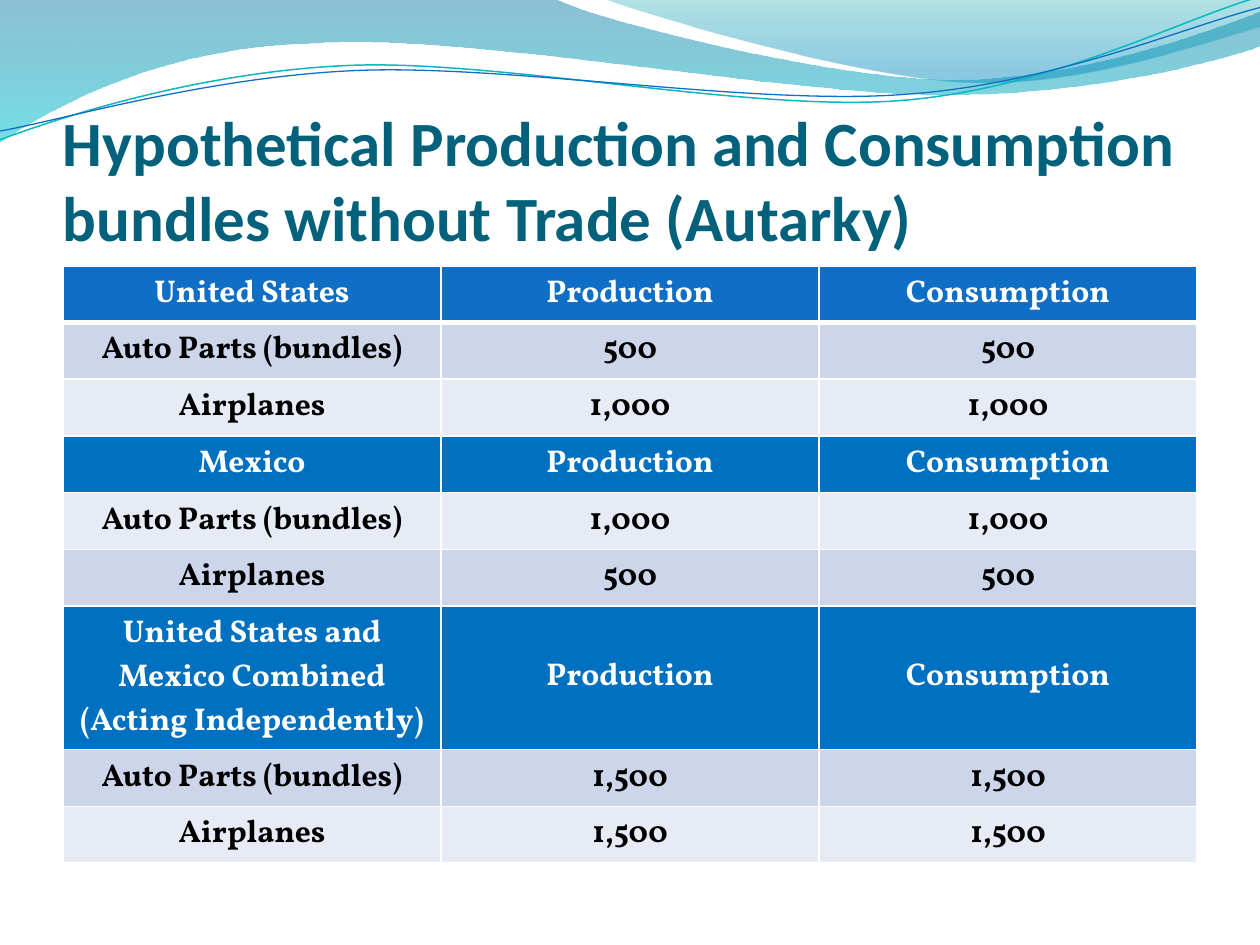
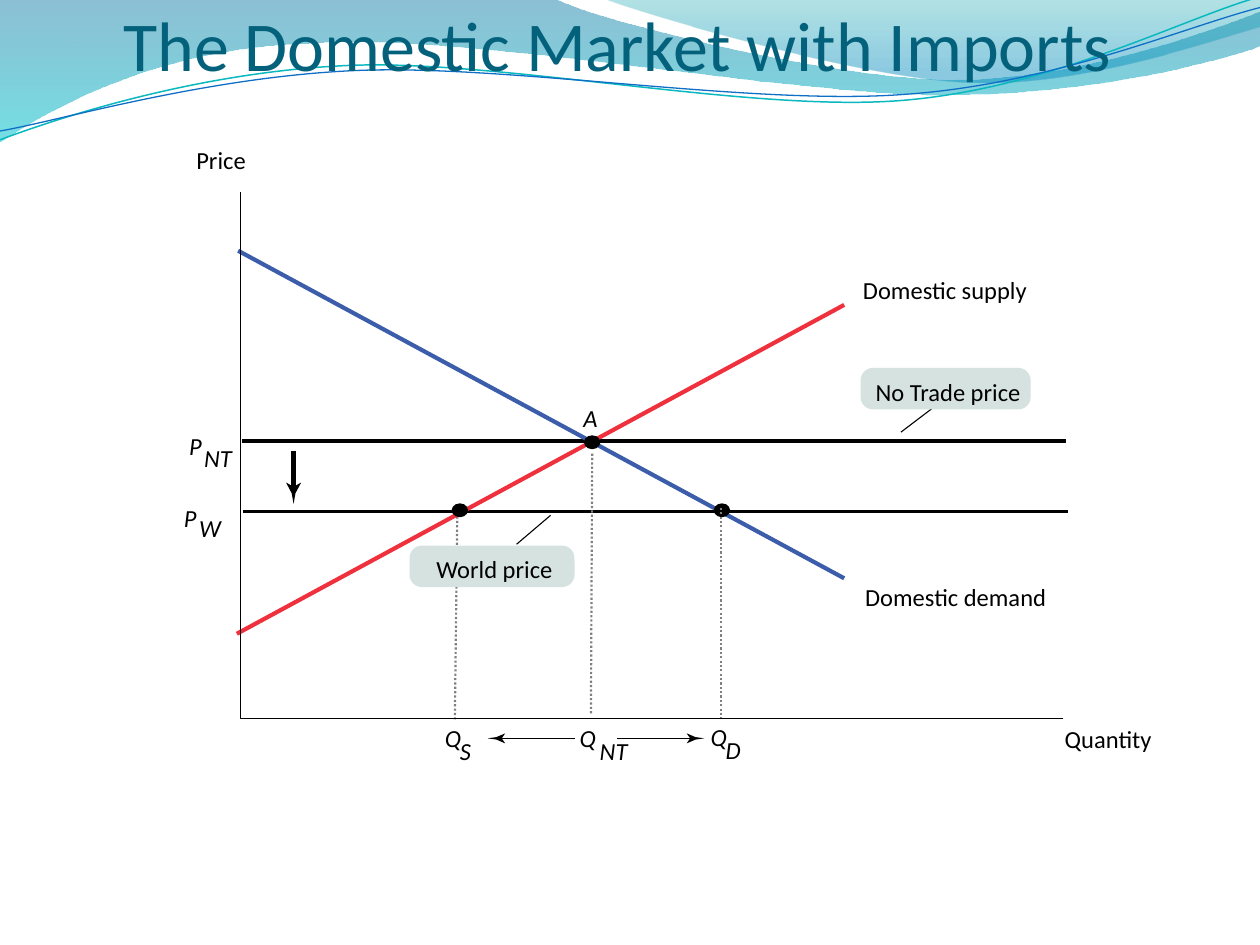
import dataclasses

import lxml.etree
import pptx
import pptx.dml.color
import pptx.enum.dml
import pptx.enum.shapes
import pptx.enum.text
import pptx.oxml.ns
import pptx.util

Inches = pptx.util.Inches
Pt = pptx.util.Pt
qn = pptx.oxml.ns.qn
SHAPE = pptx.enum.shapes.MSO_SHAPE
ALIGN = pptx.enum.text.PP_ALIGN
ANCHOR = pptx.enum.text.MSO_ANCHOR
ROUND_DOT = pptx.enum.dml.MSO_LINE.ROUND_DOT


@dataclasses.dataclass(frozen=True)
class Theme:
    """Colours, fonts and type sizes shared by the slides."""
    title: str = "04617B"
    ink: str = "000000"
    white: str = "FFFFFF"
    header: str = "0F6FC6"
    subheader: str = "0070C0"
    bands: tuple = ("E7EBF5", "CCD5EA")
    demand: str = "3C5DAA"
    supply: str = "EE313C"
    guide: str = "808080"
    callout: str = "D6E2E0"
    teal: str = "0AB8BF"
    font: str = "Calibri"
    table_font: str = "Vollkorn"
    label_size: float = 14
    table_size: float = 18


THEME = Theme()

WAVES = [
    ([(0, 0), (4.4, -0.01), (4.76, 0.17, 6.64, 0.63, 7.58, 0.63),
      (8.53, 0.63, 9.58, 0.26, 10, 0.09), (10.01, 0.36),
      (9.83, 0.44, 8.7, 0.76, 7.46, 0.75), (6.22, 0.75, 3.82, 0.28, 2.57, 0.34),
      (1.29, 0.36, 0.46, 0.83, -0.01, 1.13)],
     [(0, "0074A1", 45), (1, "00C6CF", 55)]),
    ([(4.79, -0.01), (5.09, 0.11, 6.82, 0.62, 7.69, 0.65),
      (8.56, 0.69, 9.61, 0.32, 10, 0.21), (10, 0)],
     [(0, "00A1A9", 30), (0.8, "008BBF", 45)]),
]
RIPPLES = [
    ([(0, 1.11), (0.48, 0.93, 1.58, 0.57, 2.77, 0.52), (3.95, 0.47, 5.93, 0.89, 7.13, 0.8),
      (8.33, 0.71, 9.38, 0.15, 9.98, -0.02)],
     THEME.teal, 0.85),
    ([(0, 1.04), (0.47, 0.96, 1.64, 0.61, 2.83, 0.56), (4.03, 0.51, 5.97, 0.84, 7.17, 0.75),
      (8.36, 0.67, 9.41, 0.21, 10, 0.06)],
     THEME.header, 0.75),
]

HEADINGS = ("Production", "Consumption")
COUNTRIES = [
    ("United States", "500", "1,000"),
    ("Mexico", "1,000", "500"),
    ("United States and Mexico Combined\n(Acting Independently)", "1,500", "1,500"),
]


def rgb(colour):
    """Turn a hex string into a colour."""
    return pptx.dml.color.RGBColor.from_string(colour)


def style_line(line, colour, width):
    """Set a line's colour and width."""
    line.color.rgb = rgb(colour)
    line.width = Pt(width)


def style_fill(sp, colour):
    """Give a shape a plain fill with no outline or shadow."""
    sp.shadow.inherit = False
    sp.fill.solid()
    sp.fill.fore_color.rgb = rgb(colour)
    sp.line.fill.background()


def add_outline(slide, steps, close):
    """Draw a freeform whose steps are points or cubic curves in inches."""
    points = [(Inches(step[i]), Inches(step[i + 1]))
              for step in steps for i in range(0, len(step), 2)]
    builder = slide.shapes.build_freeform(*points[0])
    builder.add_line_segments(points[1:], close=close)
    sp = builder.convert_to_shape()
    sp.shadow.inherit = False
    segments = iter(list(sp._element.iter(qn("a:lnTo"))))
    for step in steps[1:]:
        curve = next(segments)
        if len(step) == 6:
            curve.tag = qn("a:cubicBezTo")
            for _ in range(2):
                extra = next(segments)
                curve.append(extra[0])
                extra.getparent().remove(extra)
    return sp


def add_stroke(slide, steps, colour, width):
    """Draw an open, unfilled outline."""
    sp = add_outline(slide, steps, False)
    sp.fill.background()
    style_line(sp.line, colour, width)


def add_wave(slide, steps, stops):
    """Draw a closed outline with a translucent vertical gradient."""
    sp = add_outline(slide, steps, True)
    sp.line.fill.background()
    sp.fill.gradient()
    sp.fill.gradient_angle = 270
    for stop, (position, colour, _) in zip(sp.fill.gradient_stops, stops):
        stop.position = position
        stop.color.rgb = rgb(colour)
    for colour_el, (_, _, opacity) in zip(sp._element.iter(qn("a:srgbClr")), stops):
        lxml.etree.SubElement(colour_el, qn("a:alpha"), val=str(opacity * 1000))


def add_line(slide, start, end, colour=THEME.ink, width=0.63, dash=None):
    """Draw a straight connector between two points."""
    sp = slide.shapes.add_connector(pptx.enum.shapes.MSO_CONNECTOR.STRAIGHT,
                                    *[Inches(v) for v in (*start, *end)])
    lxml.etree.SubElement(sp._element.spPr, qn("a:effectLst"))
    style_line(sp.line, colour, width)
    if dash:
        sp.line.dash_style = dash


def add_arrow(slide, start, tip, direction, width, length, half):
    """Draw a line ending in a barbed arrowhead."""
    (x, y), (dx, dy) = tip, direction
    add_line(slide, start, (x - dx * length * 0.7, y - dy * length * 0.7), width=width)
    profile = [(0, 0), (0.5, 0.25), (1, 1), (0.8, 0), (1, -1), (0.5, -0.25)]
    points = [(x - dx * back * length - dy * side * half, y - dy * back * length + dx * side * half)
              for back, side in profile]
    style_fill(add_outline(slide, points, True), THEME.ink)


def write(sp, text, size, colour=THEME.ink, bold=False, italic=False,
          align=ALIGN.LEFT, anchor=ANCHOR.TOP, left=0, top=0):
    """Write one styled paragraph into a shape."""
    tf = sp.text_frame
    tf.word_wrap = True
    tf.vertical_anchor = anchor
    tf.margin_right = tf.margin_bottom = 0
    tf.margin_left, tf.margin_top = Inches(left), Inches(top)
    p = tf.paragraphs[0]
    p.text = text
    p.alignment = align
    p.font.name, p.font.size = THEME.font, Pt(size)
    p.font.bold, p.font.italic = bold, italic
    p.font.color.rgb = rgb(colour)


def add_text(slide, text, x, y, w, h=0.24, size=THEME.label_size, **style):
    """Add a text box."""
    box = slide.shapes.add_textbox(Inches(x), Inches(y), Inches(w), Inches(h))
    write(box, text, size, **style)


def add_title(slide, text, x, y, w, h, size, bold=False):
    """Add a slide title that sits on the bottom of its box."""
    add_text(slide, text, x, y, w, h, size, colour=THEME.title, bold=bold,
             anchor=ANCHOR.BOTTOM, top=0.05)


def add_symbol(slide, base, sub, x, y, dx=0.12, dy=0.1):
    """Add an italic letter with a lowered index."""
    add_text(slide, base, x, y, 0.15, italic=True)
    add_text(slide, sub, x + dx, y + dy, 0.28, italic=True)


def add_dot(slide, x, y):
    """Mark a point on the graph."""
    w, h = 0.13, 0.11
    sp = slide.shapes.add_shape(SHAPE.OVAL, Inches(x - w / 2), Inches(y - h / 2), Inches(w), Inches(h))
    style_fill(sp, THEME.ink)


def add_callout(slide, text, x, y, w):
    """Add a rounded label."""
    sp = slide.shapes.add_shape(SHAPE.ROUNDED_RECTANGLE, Inches(x), Inches(y), Inches(w), Inches(0.33))
    sp.adjustments[0] = 0.3
    style_fill(sp, THEME.callout)
    write(sp, text, THEME.label_size, align=ALIGN.CENTER, left=0.04, top=0.04)


def style_cell(cell, text, fill, colour, bottom):
    """Write a table cell with white borders and a plain fill."""
    cell.text = text
    cell.vertical_anchor = ANCHOR.MIDDLE
    for p in cell.text_frame.paragraphs:
        p.alignment = ALIGN.CENTER
        p.font.name, p.font.size, p.font.bold = THEME.table_font, Pt(THEME.table_size), True
        p.font.color.rgb = rgb(colour)
    tc_pr = cell._tc.get_or_add_tcPr()
    for side, width in (("L", 1), ("R", 1), ("T", 1), ("B", bottom)):
        ln = lxml.etree.SubElement(tc_pr, qn(f"a:ln{side}"), w=str(Pt(width)))
        solid = lxml.etree.SubElement(ln, qn("a:solidFill"))
        lxml.etree.SubElement(solid, qn("a:srgbClr"), val=THEME.white)
    cell.fill.solid()
    cell.fill.fore_color.rgb = rgb(fill)


def add_bundle_table(slide):
    """Add the table of production and consumption by country."""
    rows = []
    for country, parts, planes in COUNTRIES:
        rows += [(country, *HEADINGS), ("Auto Parts (bundles)", parts, parts),
                 ("Airplanes", planes, planes)]
    heights = [1.14 if "\n" in row[0] else 0.45 for row in rows]
    table = slide.shapes.add_table(len(rows), 3, Inches(0.5), Inches(2.11), Inches(9),
                                   Inches(sum(heights))).table
    table.horz_banding = False
    for i, row in enumerate(rows):
        table.rows[i].height = Inches(heights[i])
        heading = i % 3 == 0
        fill = THEME.bands[i % 2]
        if heading:
            fill = THEME.subheader if i else THEME.header
        for j, text in enumerate(row):
            style_cell(table.cell(i, j), text, fill, THEME.white if heading else THEME.ink,
                       1 if i else 3)


def add_slide(prs):
    """Add a blank slide with the wave banner."""
    slide = prs.slides.add_slide(prs.slide_layouts[6])
    for steps, stops in WAVES:
        add_wave(slide, steps, stops)
    for steps, colour, width in RIPPLES:
        add_stroke(slide, steps, colour, width)
    return slide


def build_autarky(prs):
    """Build the slide on bundles without trade."""
    slide = add_slide(prs)
    add_title(slide, "Hypothetical Production and Consumption bundles without Trade (Autarky)",
              0.5, 0.77, 9, 1.25, 36, bold=True)
    add_bundle_table(slide)


def build_imports(prs):
    """Build the supply and demand graph with imports."""
    slide = add_slide(prs)
    add_line(slide, (3.63, 4.03), (3.61, 5.71), THEME.guide, 1.25, ROUND_DOT)
    add_title(slide, "The Domestic Market with Imports", 0.98, 0.07, 8.74, 0.61, 40)

    add_line(slide, (1.92, 3.5), (8.46, 3.5), width=1.75)
    add_line(slide, (1.93, 4.06), (8.48, 4.06), width=1.75)
    add_line(slide, (6.7, 4.59), (1.89, 1.99), THEME.demand, 2.38)
    add_line(slide, (1.88, 5.03), (6.7, 2.42), THEME.supply, 2.38)
    add_stroke(slide, [(8.44, 5.7), (1.91, 5.7), (1.91, 1.52)], THEME.ink, 0.63)

    for x, y in ((5.73, 4.05), (3.65, 4.05), (4.7, 3.51)):
        add_dot(slide, x, y)
    add_line(slide, (5.72, 4.03), (5.72, 5.7), THEME.guide, 1.25, ROUND_DOT)
    add_line(slide, (4.7, 3.6), (4.69, 5.67), THEME.guide, 1.25, ROUND_DOT)

    add_line(slide, (7.15, 3.43), (7.44, 3.21))
    add_callout(slide, "No Trade price", 6.83, 2.92, 1.35)
    add_line(slide, (4.1, 4.32), (4.37, 4.09))
    add_callout(slide, "World price", 3.25, 4.33, 1.31)

    add_arrow(slide, (4.9, 5.86), (5.59, 5.86), (1, 0), 0.88, 0.14, 0.04)
    add_arrow(slide, (4.56, 5.86), (3.87, 5.86), (-1, 0), 0.88, 0.14, 0.04)
    add_arrow(slide, (2.33, 3.58), (2.33, 4), (0, 1), 2.38, 0.17, 0.06)

    for text, x, y, w in (("Price", 0.97, 1.15, 1.57), ("Quantity", 8.17, 5.75, 1.25),
                          ("Domestic supply", 6.75, 2.18, 1.5),
                          ("Domestic demand", 6.73, 4.62, 1.71)):
        add_text(slide, text, x, y, w, align=ALIGN.CENTER)
    add_text(slide, "A", 4.63, 3.2, 0.15, italic=True)
    add_symbol(slide, "P", "NT", 1.5, 3.42)
    add_symbol(slide, "P", "W", 1.46, 3.99, dy=0.08)
    add_symbol(slide, "Q", "S", 3.53, 5.74)
    add_symbol(slide, "Q", "NT", 4.6, 5.74, dx=0.16)
    add_symbol(slide, "Q", "D", 5.64, 5.73)


def main():
    """Build and save the presentation."""
    prs = pptx.Presentation()
    prs.slide_width, prs.slide_height = Inches(10), Inches(7.5)
    build_autarky(prs)
    build_imports(prs)
    prs.save("out.pptx")


if __name__ == "__main__":
    main()
